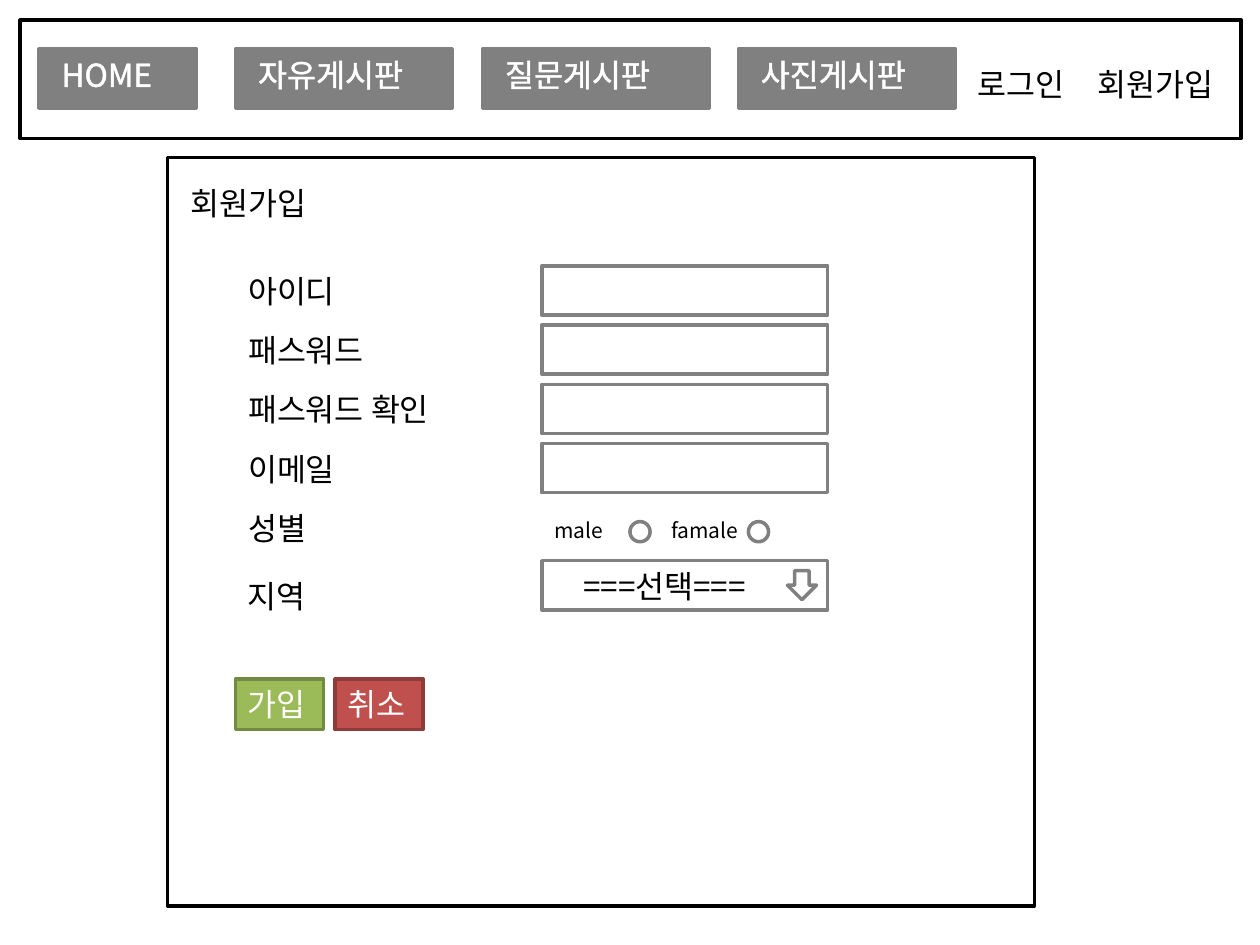
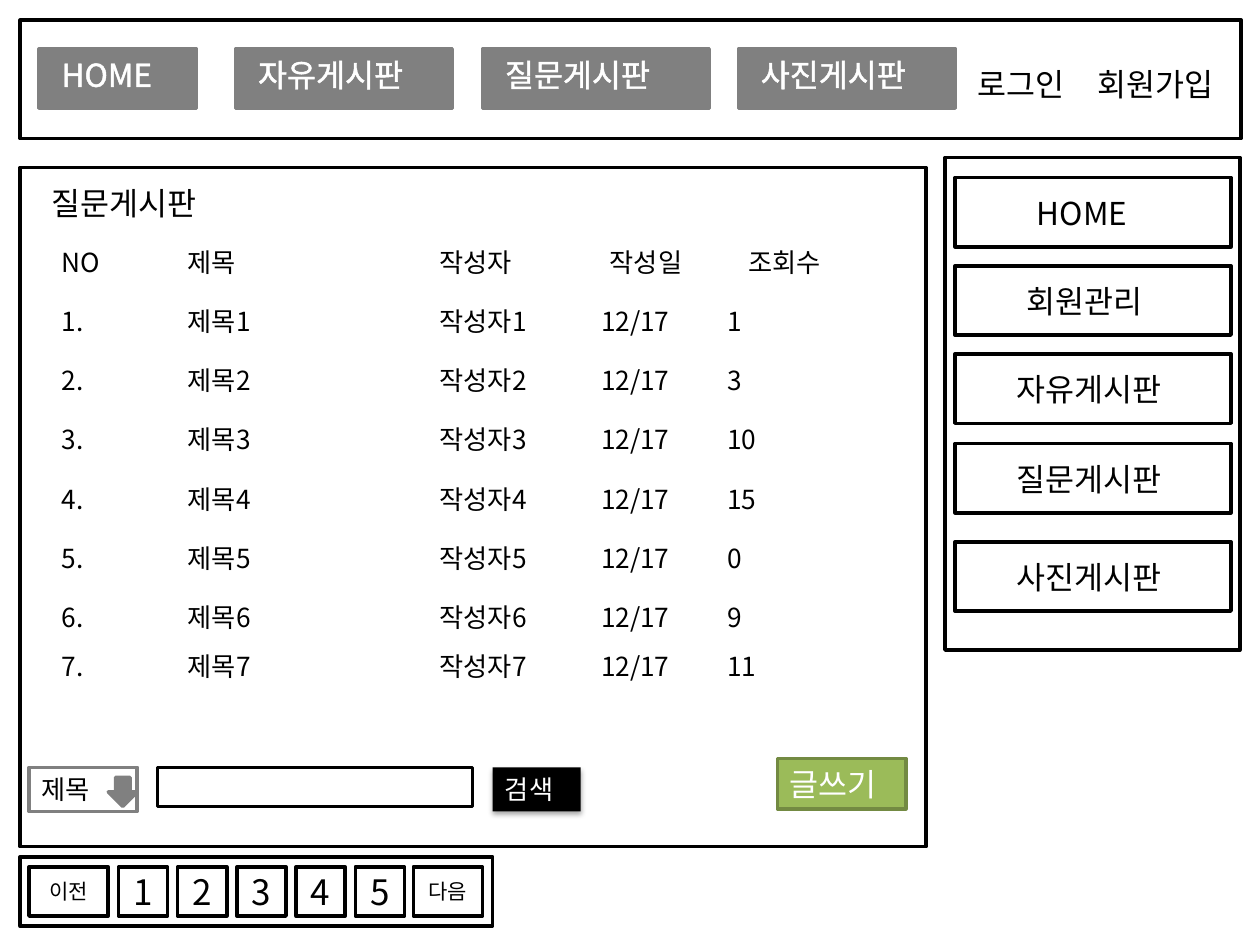
from dataclasses import dataclass
from typing import NamedTuple, Optional

from lxml.etree import SubElement
from pptx import Presentation
from pptx.dml.color import RGBColor
from pptx.enum.shapes import MSO_SHAPE as Kind
from pptx.enum.text import MSO_ANCHOR as Anchor, MSO_AUTO_SIZE as Auto, PP_ALIGN as Align
from pptx.oxml.ns import qn
from pptx.util import Inches, Pt


@dataclass(frozen=True)
class Theme:
    font: str = "Noto Sans CJK KR"
    black: str = "000000"
    white: str = "FFFFFF"
    gray: str = "808080"
    green: str = "9BBB59"
    moss: str = "738A42"
    red: str = "C0504D"
    wine: str = "8E3B39"
    big: int = 20
    body: int = 18
    cell: int = 15
    small: int = 12
    line: float = 2


T = Theme()


class Box(NamedTuple):
    left: float
    top: float
    width: float
    height: float

    def lengths(self) -> list:
        return [Inches(v) for v in self]


@dataclass(frozen=True)
class Look:
    fill: Optional[str] = T.white
    line: Optional[str] = T.black
    ink: str = T.black
    size: int = T.body
    center: bool = False
    glow: bool = False  # outlines the letters in their own colour


@dataclass(frozen=True)
class Tab:
    text: str
    bar: Box
    label: Box


@dataclass(frozen=True)
class Entry:
    text: str
    top: float
    indent: float


FRAME = Look()
FIELD = Look(line=T.gray)
BAR = Look(fill=T.gray, line=T.gray)
LABEL = Look(fill=None, line=T.gray, ink=T.white, glow=True)
PLAIN = Look(fill=None, line=None)
NOTE = Look(fill=None, line=None, size=T.small)
GREEN = Look(fill=T.green, line=T.moss, ink=T.white)
RED = Look(fill=T.red, line=T.wine, ink=T.white)
PICK = Look(line=T.gray, size=T.cell)
SEARCH = Look(fill=T.black, line=None, ink=T.white, size=T.cell)
PAGE = Look(size=T.big, center=True)
TURN = Look(size=T.small, center=True)

STEP = 0.47
TABS = [
    Tab("HOME", Box(0.31, 0.39, 1.25, 0.47), Box(0.39, 0.39, 1.09, 0.4)),
    Tab("자유게시판", Box(1.87, 0.39, 1.72, 0.47), Box(1.95, 0.39, 1.48, 0.4)),
    Tab("질문게시판", Box(3.83, 0.39, 1.8, 0.47), Box(3.91, 0.39, 1.64, 0.4)),
    Tab("사진게시판", Box(5.86, 0.39, 1.72, 0.47), Box(5.94, 0.39, 1.64, 0.4)),
]
MENU = [
    Entry("HOME", 1.41, 0.55),
    Entry("회원관리", 2.11, 0.47),
    Entry("자유게시판", 2.81, 0.39),
    Entry("질문게시판", 3.52, 0.39),
    Entry("사진게시판", 4.3, 0.39),
]
HEADS = ["NO", "제목", "작성자", "작성일", "조회수"]
VIEWS = [1, 3, 10, 15, 0, 9, 11]


def apply(target, values: dict) -> None:
    for name, value in values.items():
        setattr(target, name, value)


def color(code: str) -> RGBColor:
    return RGBColor.from_string(code)


def write(frame, text: str, look: Look) -> None:
    """Put one styled line of text into a text frame."""
    para = frame.paragraphs[0]
    para.alignment = Align.CENTER if look.center else Align.LEFT
    run = para.add_run()
    run.text = text
    apply(run.font, {"name": T.font, "size": Pt(look.size), "bold": False})
    run.font.color.rgb = color(look.ink)
    props = run.font._element if hasattr(run.font, "_element") else run._r.get_or_add_rPr()
    props.find(qn("a:latin")).addnext(props.makeelement(qn("a:ea"), {"typeface": T.font}))
    if look.glow:
        edge = props.makeelement(qn("a:ln"), {"w": str(Pt(1.45))})
        fill = SubElement(edge, qn("a:solidFill"))
        SubElement(fill, qn("a:srgbClr"), val=look.ink)
        props.insert(0, edge)


def fit(frame, center: bool = False) -> None:
    apply(frame, {
        "word_wrap": True,
        "auto_size": Auto.NONE if center else Auto.SHAPE_TO_FIT_TEXT,
        "vertical_anchor": Anchor.MIDDLE if center else Anchor.TOP,
    })


def draw(slide, box: Box, look: Look, text: str = "", kind=Kind.RECTANGLE):
    shape = slide.shapes.add_shape(kind, *box.lengths())
    shape.shadow.inherit = False
    for part, code in ((shape.fill, look.fill), (shape.line.fill, look.line)):
        if code:
            part.solid()
            part.fore_color.rgb = color(code)
        else:
            part.background()
    if look.line:
        shape.line.width = Pt(T.line)
    if text:
        fit(shape.text_frame, look.center)
        write(shape.text_frame, text, look)
    return shape


def label(slide, box: Box, text: str, look: Look = PLAIN) -> None:
    frame = slide.shapes.add_textbox(*box.lengths()).text_frame
    fit(frame)
    write(frame, text, look)


def shade(shape) -> None:
    """Give the shape a soft shadow straight below it."""
    effects = shape._element.spPr.find(qn("a:effectLst"))
    cast = SubElement(effects, qn("a:outerShdw"), blurRad=str(Pt(3.1)),
                      dist=str(Pt(1.8)), dir="5400000", rotWithShape="0")
    tint = SubElement(cast, qn("a:srgbClr"), val=T.black)
    SubElement(tint, qn("a:alpha"), val="35000")


def start(deck, panel: Box, left: float, text: str):
    """Add a slide with the top bar, the main panel and its title."""
    slide = deck.slides.add_slide(deck.slide_layouts[5])
    draw(slide, Box(0.16, 0.16, 9.69, 0.94), FRAME)
    for tab in TABS:
        draw(slide, tab.bar, BAR)
    for tab in TABS:
        draw(slide, tab.label, LABEL, tab.text)
    label(slide, Box(7.66, 0.47, 1.09, 0.4), "로그인")
    label(slide, Box(8.61, 0.47, 1.39, 0.4), "회원가입")
    draw(slide, panel, FRAME)

    title = slide.shapes.title
    place = Box(left, 1.41, 1.64, 0.4).lengths()
    apply(title, dict(zip(("left", "top", "width", "height"), place)))
    fit(title.text_frame)
    write(title.text_frame, text, PLAIN)
    title.element.getparent().append(title.element)  # in front of the panel
    return slide


def join(deck) -> None:
    slide = start(deck, Box(1.33, 1.25, 6.88, 5.94), 1.41, "회원가입")
    names = ["아이디", "패스워드", "패스워드 확인", "이메일", "성별"]
    for i, name in enumerate(names):
        top = 2.11 + STEP * i
        label(slide, Box(1.87, top, 1.88, 0.4), name)
        if name != "성별":
            draw(slide, Box(4.3, top, 2.27, 0.39), FIELD)
    for left, dot, text in ((4.3, 5, "male"), (5.23, 5.94, "famale")):
        draw(slide, Box(dot, 4.14, 0.16, 0.16), FIELD, kind=Kind.OVAL)
        label(slide, Box(left, 4.06, 0.94, 0.3), text, NOTE)
    label(slide, Box(1.87, 4.53, 1.64, 0.4), "지역")
    draw(slide, Box(4.3, 4.45, 2.27, 0.39), FIELD)
    label(slide, Box(4.53, 4.45, 2.03, 0.4), "===선택===")
    draw(slide, Box(6.25, 4.53, 0.23, 0.23), FIELD, kind=Kind.DOWN_ARROW)
    draw(slide, Box(1.87, 5.39, 0.7, 0.4), GREEN, "가입")
    draw(slide, Box(2.66, 5.39, 0.7, 0.4), RED, "취소")


def posts(slide) -> None:
    rows = [HEADS] + [[f"{n}.", f"제목{n}", f"작성자{n}", "12/17", str(seen)]
                      for n, seen in enumerate(VIEWS, 1)]
    widths = [1, 2, 1.28, 1, 1.36]
    heights = [STEP] * 6 + [0.39, 0.35]
    box = Box(0.39, 1.87, sum(widths), sum(heights))
    table = slide.shapes.add_table(len(rows), len(HEADS), *box.lengths()).table
    apply(table, {"first_row": False, "horz_banding": False})
    for col, width in zip(table.columns, widths):
        col.width = Inches(width)
    for row, height in zip(table.rows, heights):
        row.height = Inches(height)
    shifts = [0, 0, 0, 0.07, 0.17]  # the last two heads sit further right
    for r, texts in enumerate(rows):
        for c, text in enumerate(texts):
            cell = table.cell(r, c)
            cell.fill.background()
            apply(cell, {
                "margin_left": Inches(0.1 + (shifts[c] if r == 0 else 0)),
                "margin_right": 0,
                "margin_top": Inches(0.05),
                "margin_bottom": 0,
                "vertical_anchor": Anchor.TOP,
            })
            write(cell.text_frame, text, Look(size=T.cell))


def menu(slide) -> None:
    draw(slide, Box(7.5, 1.25, 2.34, 3.91), FRAME)
    for item in MENU:
        draw(slide, Box(7.58, item.top, 2.19, 0.55), FRAME)
        label(slide, Box(7.58 + item.indent, item.top + 0.08, 1.64, 0.4), item.text)


def pager(slide) -> None:
    draw(slide, Box(0.16, 6.8, 3.75, 0.55), FRAME)
    draw(slide, Box(0.23, 6.88, 0.63, 0.39), TURN, "이전")
    for i in range(5):
        draw(slide, Box(0.94 + STEP * i, 6.88, 0.39, 0.39), PAGE, str(i + 1))
    draw(slide, Box(3.28, 6.88, 0.55, 0.39), TURN, "다음")


def board(deck) -> None:
    slide = start(deck, Box(0.16, 1.33, 7.19, 5.39), 0.31, "질문게시판")
    menu(slide)
    posts(slide)
    draw(slide, Box(0.23, 6.09, 0.86, 0.35), PICK, "제목")
    draw(slide, Box(0.86, 6.17, 0.23, 0.23), BAR, kind=Kind.DOWN_ARROW)
    draw(slide, Box(1.25, 6.09, 2.5, 0.31), FRAME)
    shade(draw(slide, Box(3.91, 6.09, 0.7, 0.35), SEARCH, "검색"))
    draw(slide, Box(6.17, 6.02, 1.02, 0.4), GREEN, "글쓰기")
    pager(slide)


def main() -> None:
    deck = Presentation()
    apply(deck, {"slide_width": Inches(10), "slide_height": Inches(7.5)})
    join(deck)
    board(deck)
    deck.save("out.pptx")


if __name__ == "__main__":
    main()
